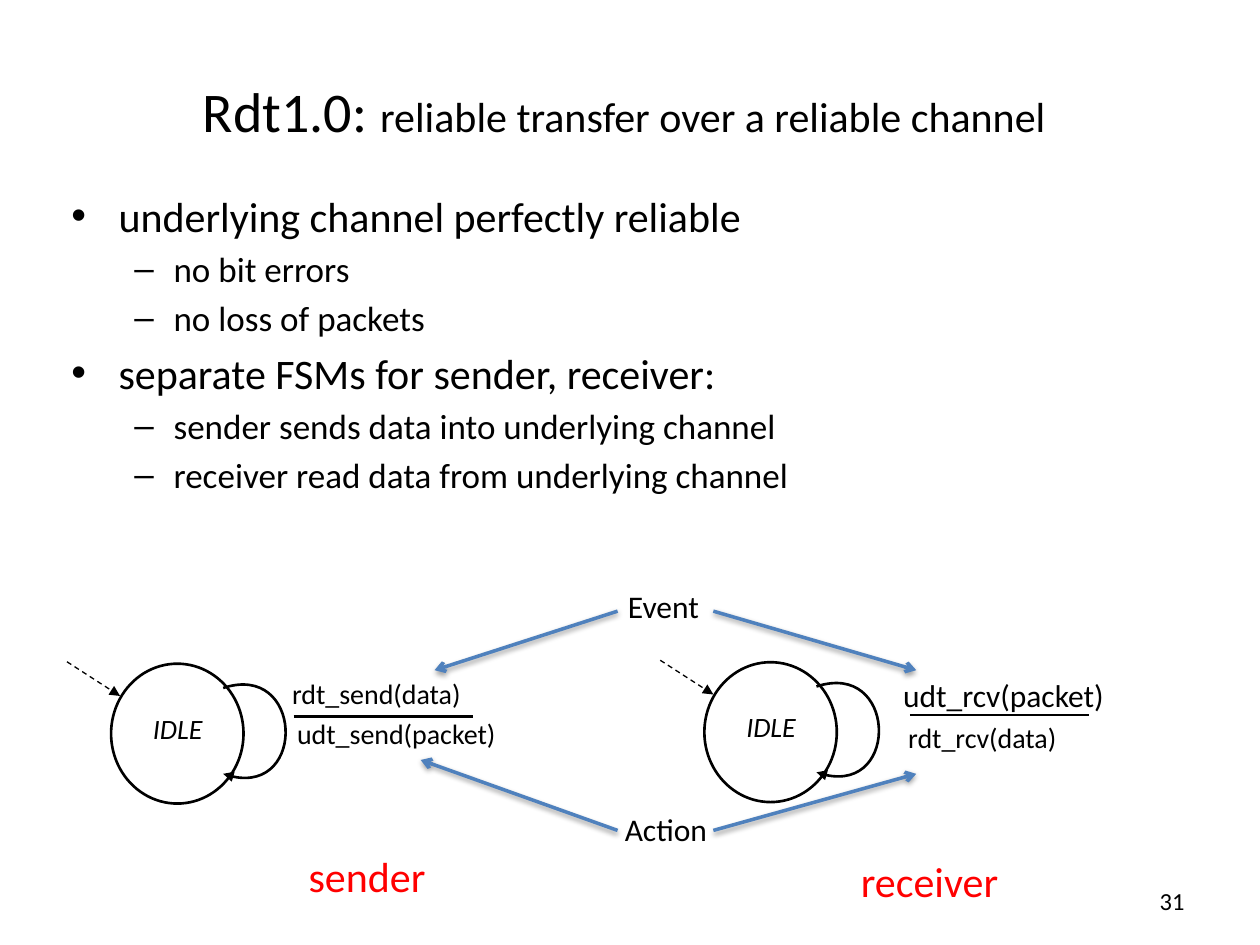
import dataclasses

import lxml.etree
import pptx
import pptx.dml.color
import pptx.enum.dml
import pptx.enum.shapes
import pptx.enum.text
import pptx.oxml
import pptx.oxml.ns
import pptx.util

Cm = pptx.util.Cm
Pt = pptx.util.Pt
qn = pptx.oxml.ns.qn
Align = pptx.enum.text.PP_ALIGN
Anchor = pptx.enum.text.MSO_ANCHOR


@dataclasses.dataclass(frozen=True)
class Theme:
    """Colours, font and type sizes of the deck."""
    font: str = "Calibri"
    ink: str = "000000"
    paper: str = "FFFFFF"
    accent: str = "4F81BD"
    caption: str = "FF0000"
    title: int = 32
    heading: int = 24
    item: int = 20
    callout: int = 18
    label: int = 16
    number: int = 14


THEME = Theme()


def rgb(value):
    """Return a colour object for a hex value."""
    return pptx.dml.color.RGBColor.from_string(value)


def add_span(para, text, size, color=THEME.ink, italic=False):
    """Add one run of text to a paragraph."""
    span = para.add_run()
    span.text = text
    span.font.name = THEME.font
    span.font.size = Pt(size)
    span.font.italic = italic
    span.font.color.rgb = rgb(color)


def add_box(page, left, top, width, height, wrap=True):
    """Add an empty text box and return its text frame."""
    box = page.shapes.add_textbox(Cm(left), Cm(top), Cm(width), Cm(height))
    box.text_frame.word_wrap = wrap
    return box.text_frame


def add_label(page, left, top, width, height, text, size,
              align=Align.LEFT, wrap=True, **style):
    """Add a text box holding a single run."""
    para = add_box(page, left, top, width, height, wrap).paragraphs[0]
    para.alignment = align
    add_span(para, text, size, **style)


def style_line(shape, color, width, head=None, dashed=False):
    """Set the outline of a shape and its optional arrowhead."""
    shape.line.color.rgb = rgb(color)
    shape.line.width = Pt(width)
    if dashed:
        shape.line.dash_style = pptx.enum.dml.MSO_LINE.DASH
    if head:
        outline = shape.line._get_or_add_ln()
        lxml.etree.SubElement(outline, qn("a:tailEnd"), type=head)


def add_line(page, start, end, color, width, head=None, dashed=False):
    """Add a straight line and return its empty effect list."""
    line = page.shapes.add_connector(
        pptx.enum.shapes.MSO_CONNECTOR.STRAIGHT,
        *(Cm(value) for value in (*start, *end)))
    style_line(line, color, width, head, dashed)
    return lxml.etree.SubElement(line._element.spPr, qn("a:effectLst"))


def add_soft_shadow(effects):
    """Fill an effect list with a soft shadow straight below."""
    shadow = lxml.etree.SubElement(
        effects, qn("a:outerShdw"), blurRad="40000", dist="20000",
        dir="5400000", rotWithShape="0")
    color = lxml.etree.SubElement(shadow, qn("a:srgbClr"), val=THEME.ink)
    lxml.etree.SubElement(color, qn("a:alpha"), val="38000")


def add_curve(page, start, *controls_and_end):
    """Add an open cubic curve that ends in an arrowhead."""
    builder = page.shapes.build_freeform(Cm(start[0]), Cm(start[1]))
    builder.add_line_segments(
        [(Cm(x), Cm(y)) for x, y in controls_and_end], close=False)
    curve = builder.convert_to_shape()
    track = next(curve._element.iter(qn("a:path")))
    bezier = lxml.etree.Element(qn("a:cubicBezTo"))
    for segment in track.findall(qn("a:lnTo")):
        bezier.append(segment[0])
        track.remove(segment)
    track.append(bezier)
    curve.shadow.inherit = False
    curve.fill.background()
    style_line(curve, THEME.ink, 1.5, "triangle")


def add_title(page, left, top, width, height):
    """Place the two-size title."""
    frame = add_box(page, left, top, width, height)
    frame.vertical_anchor = Anchor.MIDDLE
    para = frame.paragraphs[0]
    para.alignment = Align.CENTER
    add_span(para, "Rdt1.0: ", THEME.title)
    add_span(para, "reliable transfer over a reliable channel", THEME.heading)


def add_outline(page, left, top, width, height, items):
    """Place the two-level bullet list."""
    levels = (("•", 0.95, 0.95, THEME.heading), ("–", 2.06, 0.79, THEME.item))
    frame = add_box(page, left, top, width, height)
    for index, (level, text) in enumerate(items):
        bullet, margin, hang, size = levels[level]
        para = frame.add_paragraph() if index else frame.paragraphs[0]
        para.level = level
        props = para._p.get_or_add_pPr()
        props.set("marL", str(Cm(margin)))
        props.set("indent", str(-Cm(hang)))
        lxml.etree.SubElement(props, qn("a:buFont"), typeface="Arial")
        lxml.etree.SubElement(props, qn("a:buChar"), char=bullet)
        if index:
            para.space_before = Pt(size * 0.2)
        add_span(para, text, size)


def add_machine(page, left, top, rule_left, labels):
    """Place a one-state machine with its transition labels and caption."""
    def at(x, y):
        return left + x, top + y

    state = page.shapes.add_shape(
        pptx.enum.shapes.MSO_SHAPE.OVAL,
        *(Cm(value) for value in (*at(0.89, 0.04), 2.67, 2.82)))
    state.shadow.inherit = False
    state.fill.solid()
    state.fill.fore_color.rgb = rgb(THEME.paper)
    style_line(state, THEME.ink, 1.5)
    add_label(page, *at(0.71, 0.87), 3.05, 2.54, "IDLE", THEME.label,
              Align.CENTER, italic=True)
    add_curve(page, at(3.15, 0.53), at(4.75, 0), at(4.85, 2.86), at(3.15, 2.26))
    add_line(page, at(0, 0), at(1.07, 0.69), THEME.ink, 0.75, "triangle", True)
    add_line(page, at(rule_left, 1.1), at(rule_left + 3.61, 1.1), THEME.ink, 1.5)
    for (x, y, width, height), text, size, style in labels:
        add_label(page, *at(x, y), width, height, text, size, **style)


def add_callouts(page, left, top):
    """Place the Event and Action words with arrows to both machines."""
    callouts = (
        ("Event", 2.7, 0, 4.39, 0.61, ((0.28, 1.8), (9.99, 1.8))),
        ("Action", 3, 4.5, 3.89, 5.03, ((0, 3.61), (9.99, 3.89))),
    )
    for text, x, y, width, arrow_y, targets in callouts:
        for arrow_x, (end_x, end_y) in zip((3.97, 5.9), targets):
            add_soft_shadow(add_line(
                page, (left + arrow_x, top + arrow_y),
                (left + end_x, top + end_y), THEME.accent, 2, "arrow"))
        add_label(page, left + x, top + y, width, 1.02, text,
                  THEME.callout, Align.CENTER)


def add_page_number(page, left, top, width, height):
    """Place the page number."""
    frame = add_box(page, left, top, width, height)
    frame.vertical_anchor = Anchor.MIDDLE
    frame.paragraphs[0].alignment = Align.RIGHT
    add_span(frame.paragraphs[0], "31", THEME.number)


def main():
    """Build the deck and save it."""
    deck = pptx.Presentation()
    deck.slide_width, deck.slide_height = Cm(25.4), Cm(19.05)
    page = deck.slides.add_slide(deck.slide_layouts[6])
    centred = {"align": Align.CENTER, "wrap": False}
    caption = {**centred, "color": THEME.caption}
    add_title(page, 1.47, 0.64, 22.23, 3.18)
    add_outline(page, 1.19, 3.71, 21.95, 8.38, (
        (0, "underlying channel perfectly reliable"),
        (1, "no bit errors"),
        (1, "no loss of packets"),
        (0, "separate FSMs for sender, receiver:"),
        (1, "sender sends data into underlying channel"),
        (1, "receiver read data from underlying channel")))
    add_machine(page, 1.35, 13.34, 4.57, (
        ((4.29, 0.18, 6.27, 1.19), "rdt_send(data)", THEME.label, {}),
        ((4.39, 0.99, 7.44, 1.65), "udt_send(packet)", THEME.label, {}),
        ((4.6, 3.68, 2.9, 1.27), "sender", THEME.heading, caption)))
    add_machine(page, 13.31, 13.31, 5.03, (
        ((4.62, 0.2, 4.6, 1.02), "udt_rcv(packet)", THEME.callout, centred),
        ((4.75, 1.09, 6.91, 1.19), "rdt_rcv(data)", THEME.label, {}),
        ((3.78, 3.81, 3.3, 1.27), "receiver", THEME.heading, caption)))
    add_callouts(page, 8.48, 11.71)
    add_page_number(page, 18.21, 17.65, 5.92, 1.02)
    deck.save("out.pptx")


if __name__ == "__main__":
    main()
